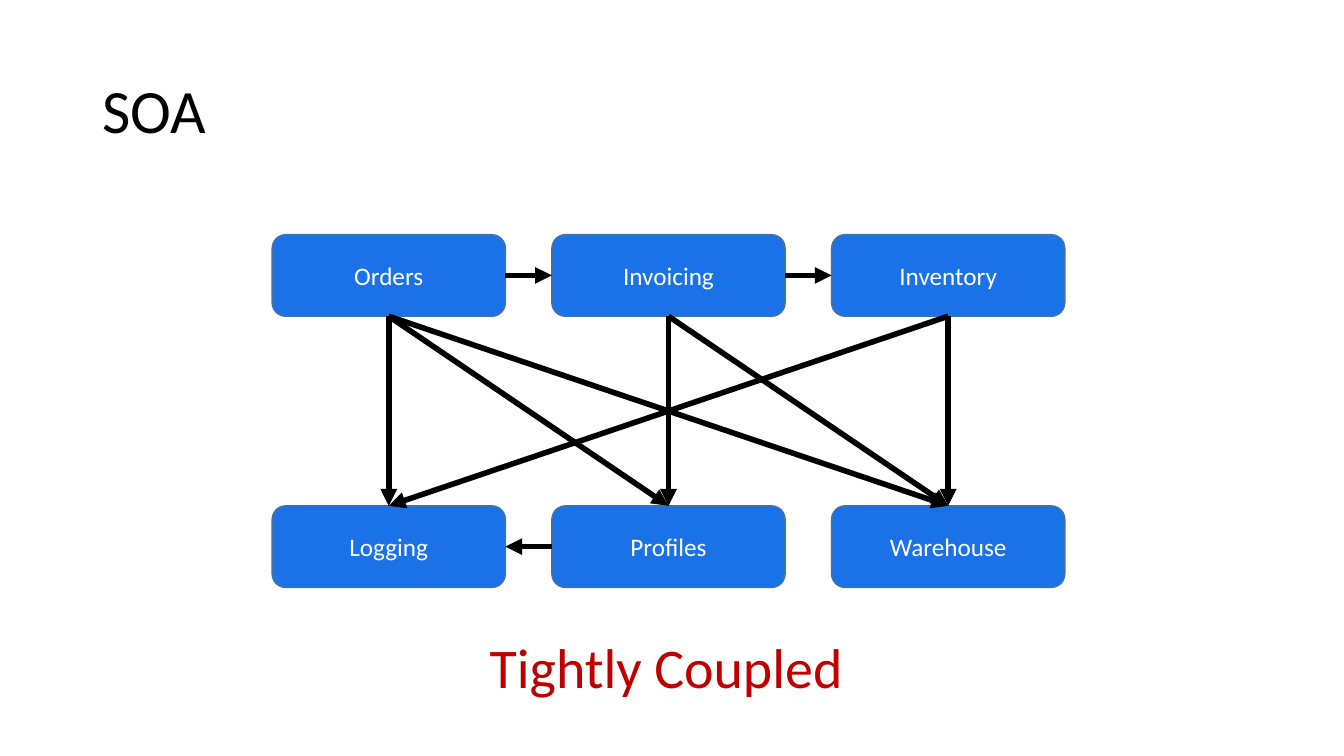
from lxml.etree import SubElement
from pptx import Presentation
from pptx.dml.color import RGBColor
from pptx.enum.shapes import MSO_CONNECTOR as Connector, MSO_SHAPE as Shape
from pptx.enum.text import MSO_ANCHOR as Anchor, MSO_AUTO_SIZE as AutoSize, PP_ALIGN as Align
from pptx.oxml.ns import qn
from pptx.util import Pt

TOP, LEFT, BOTTOM, RIGHT = range(4)
BOX_LEFT, BOX_PITCH, BOX_WIDTH, BOX_HEIGHT = 194.4, 199.8, 166.6, 58.3
ROWS = [
    (167.6, ["Orders", "Invoicing", "Inventory"]),
    (361.3, ["Logging", "Profiles", "Warehouse"]),
]
CALLS = [
    ("Orders", RIGHT, "Invoicing", LEFT),
    ("Orders", BOTTOM, "Profiles", TOP),
    ("Invoicing", RIGHT, "Inventory", LEFT),
    ("Invoicing", BOTTOM, "Warehouse", TOP),
    ("Orders", BOTTOM, "Warehouse", TOP),
    ("Inventory", BOTTOM, "Logging", TOP),
    ("Inventory", BOTTOM, "Warehouse", TOP),
    ("Invoicing", BOTTOM, "Profiles", TOP),
    ("Orders", BOTTOM, "Logging", TOP),
    ("Profiles", LEFT, "Logging", RIGHT),
]


def color(value):
    return RGBColor.from_string(value)


def write(shape, text, size, text_color, align):
    shape.text_frame.text = text
    paragraph = shape.text_frame.paragraphs[0]
    paragraph.alignment = align
    paragraph.font.name = "Calibri"
    paragraph.font.size = Pt(size)
    paragraph.font.color.rgb = color(text_color)
    return paragraph


presentation = Presentation()
presentation.slide_width = Pt(960)
presentation.slide_height = Pt(540)
slide = presentation.slides.add_slide(presentation.slide_layouts[5])

title = slide.shapes.title
title.left, title.top, title.width, title.height = Pt(66), Pt(28.75), Pt(828), Pt(104.4)
title.text_frame.vertical_anchor = Anchor.MIDDLE
write(title, "SOA", 44, "000000", Align.LEFT).line_spacing = 0.9

services = {}
for top, names in ROWS:
    for column, name in enumerate(names):
        left = BOX_LEFT + column * BOX_PITCH
        box = slide.shapes.add_shape(
            Shape.ROUNDED_RECTANGLE, Pt(left), Pt(top), Pt(BOX_WIDTH), Pt(BOX_HEIGHT)
        )
        box.shadow.inherit = False
        box.fill.solid()
        box.fill.fore_color.rgb = color("1B72E8")
        box.line.color.rgb = color("43739E")
        box.line.width = Pt(1)
        box.text_frame.vertical_anchor = Anchor.MIDDLE
        write(box, name, 18, "FFFFFF", Align.CENTER)
        services[name] = box

for caller, exit_side, callee, entry_side in CALLS:
    arrow = slide.shapes.add_connector(Connector.STRAIGHT, 0, 0, 0, 0)
    arrow.begin_connect(services[caller], exit_side)
    arrow.end_connect(services[callee], entry_side)
    arrow.line.color.rgb = color("000000")
    arrow.line.width = Pt(4)
    SubElement(arrow.line._get_or_add_ln(), qn("a:tailEnd"), type="triangle")
    SubElement(arrow._element.spPr, qn("a:effectLst"))

caption = slide.shapes.add_textbox(Pt(342.7), Pt(448.6), Pt(269.3), Pt(55.4))
caption.text_frame.word_wrap = False
caption.text_frame.auto_size = AutoSize.SHAPE_TO_FIT_TEXT
write(caption, "Tightly Coupled", 40, "C00000", Align.LEFT)

presentation.save("out.pptx")
